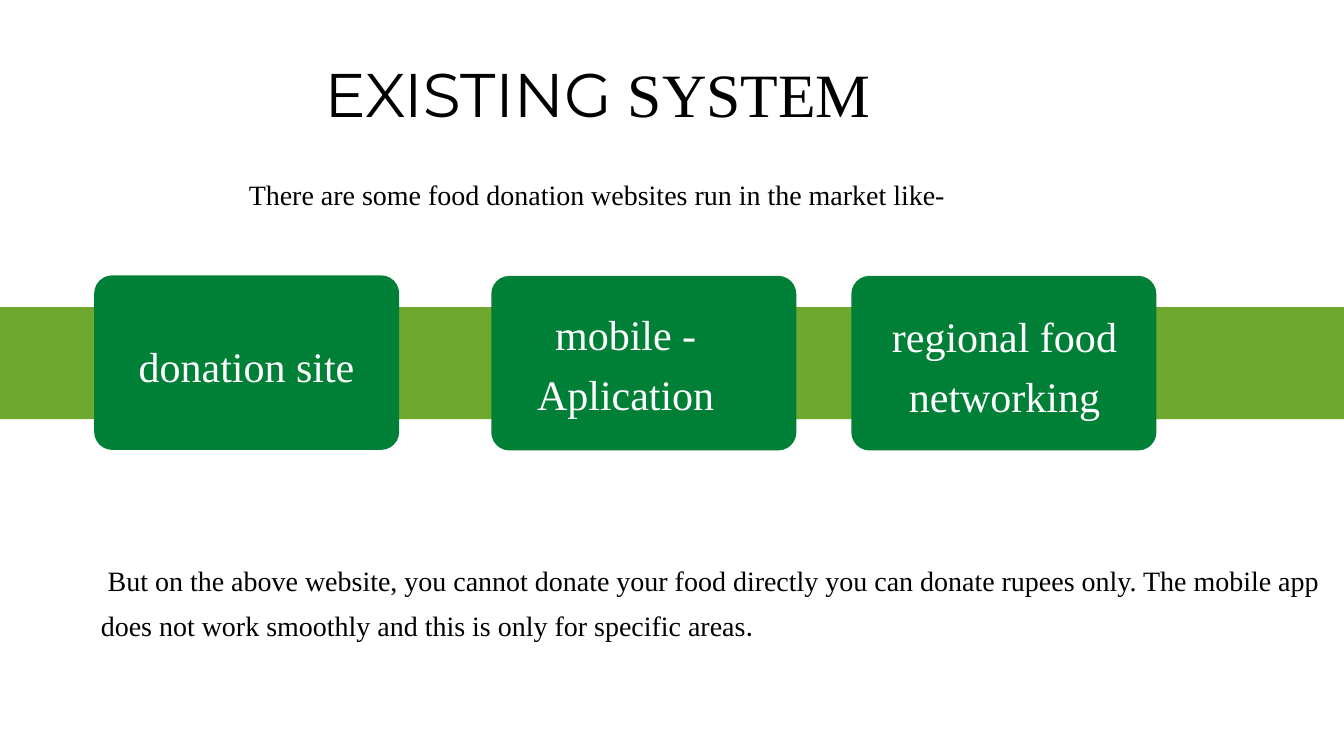
from pptx import Presentation
from pptx import util as u
from pptx.dml.color import RGBColor
from pptx.enum import shapes, text

SERIF = "Times New Roman"
BLACK, WHITE = "000000", "FFFFFF"
BAND_GREEN, CARD_GREEN = "6FA82F", "008037"
SLIDE_W, SLIDE_H = 50.8, 28.58
CARD_W, CARD_H, CORNER = 11.53, 6.6, 0.104


def rgb(value):
    return RGBColor.from_string(value)


def write(paragraph, content, *, size, font=SERIF, color=BLACK):
    run = paragraph.add_run()
    run.text = content
    run.font.size = u.Pt(size)
    run.font.name = font
    run.font.color.rgb = rgb(color)


class Board:
    """Draws on one slide; all lengths are centimetres."""

    def __init__(self, slide):
        self.slide = slide

    def block(self, kind, left, top, width, height, color):
        shape = self.slide.shapes.add_shape(
            kind, u.Cm(left), u.Cm(top), u.Cm(width), u.Cm(height))
        shape.fill.solid()
        shape.fill.fore_color.rgb = rgb(color)
        shape.line.fill.background()
        shape.shadow.inherit = False
        return shape

    def card(self, left, top):
        card = self.block(shapes.MSO_SHAPE.ROUNDED_RECTANGLE,
                          left, top, CARD_W, CARD_H, CARD_GREEN)
        card.adjustments[0] = CORNER

    def words(self, left, top, width, height, paragraphs, *, leading,
              align=text.PP_ALIGN.CENTER, **style):
        """Each paragraph is a list of (text, font) runs."""
        box = self.slide.shapes.add_textbox(
            u.Cm(left), u.Cm(top), u.Cm(width), u.Cm(height))
        frame = box.text_frame
        frame.word_wrap = True
        frame.auto_size = text.MSO_AUTO_SIZE.SHAPE_TO_FIT_TEXT
        frame.margin_left = frame.margin_right = 0
        frame.margin_top = frame.margin_bottom = 0
        for index, runs in enumerate(paragraphs):
            paragraph = frame.add_paragraph() if index else frame.paragraphs[0]
            paragraph.alignment = align
            paragraph.line_spacing = u.Pt(leading)
            for content, font in runs:
                write(paragraph, content, font=font, **style)


def main():
    deck = Presentation()
    deck.slide_width, deck.slide_height = u.Cm(SLIDE_W), u.Cm(SLIDE_H)
    board = Board(deck.slides.add_slide(deck.slide_layouts[6]))
    left_align = text.PP_ALIGN.LEFT

    # Heading and introduction
    board.words(12.27, 2.62, 21.79, 2.29,
                [[("EXISTING ", "Montserrat"), ("SYSTEM", SERIF)]],
                leading=64.4, align=left_align, size=66)
    board.words(4.09, 6.2, 36.96, 1.63,
                [[("There are some food donation websites run in the market like-",
                   SERIF)]],
                leading=51, size=30)

    # Band with the three existing services
    board.block(shapes.MSO_SHAPE.RECTANGLE, 0, 11.61, SLIDE_W, 4.24, BAND_GREEN)
    services = [
        # card left, card top, label left, label top, label height, lines
        (3.56, 10.41, 3.81, 12.5, 2.13, ["donation site"]),
        (18.57, 10.43, 18.14, 11.28, 4.39, ["mobile -", "Aplication"]),
        (32.18, 10.43, 32.46, 11.38, 4.34, ["regional food networking"]),
    ]
    for card_left, card_top, left, top, height, lines in services:
        board.card(card_left, card_top)
        board.words(left, top, 11.02, height, [[(line, SERIF)] for line in lines],
                    leading=64.5, size=45, color=WHITE)

    # Shortcomings
    shortcomings = (" But on the above website, you cannot donate your food directly "
                    "you can donate rupees only. The mobile app does not work "
                    "smoothly and this is only for specific areas")
    board.words(3.81, 20.9, 46.46, 3.28, [[(shortcomings, SERIF), (".", "Lato")]],
                leading=47.6, align=left_align, size=30)

    deck.save("out.pptx")


if __name__ == "__main__":
    main()
